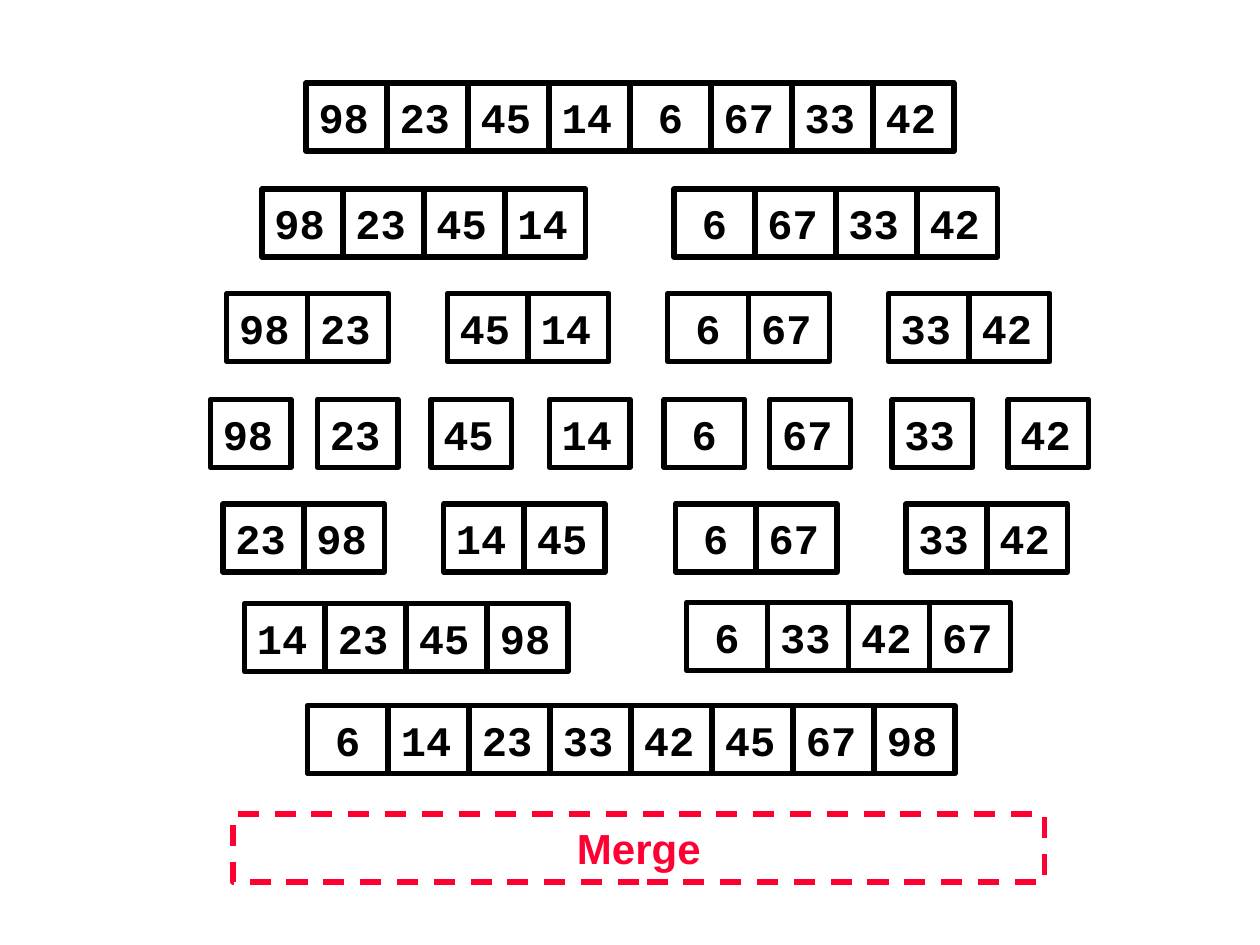
from dataclasses import dataclass

from pptx import Presentation
from pptx.dml.color import RGBColor
from pptx.enum.dml import MSO_LINE
from pptx.enum.shapes import MSO_SHAPE
from pptx.enum.text import MSO_ANCHOR, PP_ALIGN
from pptx.util import Inches, Pt


@dataclass(frozen=True)
class Theme:
    ink: RGBColor = RGBColor(0x00, 0x00, 0x00)
    accent: RGBColor = RGBColor(0xFF, 0x00, 0x33)
    number_font: str = "Courier New"
    label_font: str = "Arial"
    text_size: Pt = Pt(24)
    line_width: Pt = Pt(3)


theme = Theme()
cell_width = 0.64
cell_step = 0.643
box_height = 0.54

presentation = Presentation()
presentation.slide_width = Inches(10)
presentation.slide_height = Inches(7.5)
slide = presentation.slides.add_slide(presentation.slide_layouts[6])


def add_box(left, top, width, text, font_name, color, alignment, wrap):
    shape = slide.shapes.add_shape(
        MSO_SHAPE.RECTANGLE, Inches(left), Inches(top), Inches(width), Inches(box_height)
    )
    shape.shadow.inherit = False
    shape.fill.background()
    shape.line.color.rgb = color
    shape.line.width = theme.line_width
    text_frame = shape.text_frame
    text_frame.text = text
    text_frame.word_wrap = wrap
    text_frame.vertical_anchor = MSO_ANCHOR.MIDDLE
    paragraph = text_frame.paragraphs[0]
    paragraph.alignment = alignment
    font = paragraph.runs[0].font
    font.name = font_name
    font.size = theme.text_size
    font.bold = True
    font.color.rgb = color
    return shape


arrays = [
    (2.43, 0.66, [98, 23, 45, 14, 6, 67, 33, 42]),
    (2.08, 1.5, [98, 23, 45, 14]),
    (5.35, 1.5, [6, 67, 33, 42]),
    (1.8, 2.33, [98, 23]),
    (3.55, 2.33, [45, 14]),
    (5.3, 2.33, [6, 67]),
    (7.05, 2.33, [33, 42]),
    (1.67, 3.17, [98]),
    (2.52, 3.17, [23]),
    (3.42, 3.17, [45]),
    (4.36, 3.17, [14]),
    (5.27, 3.17, [6]),
    (6.11, 3.17, [67]),
    (7.08, 3.17, [33]),
    (8, 3.17, [42]),
    (1.77, 4, [23, 98]),
    (3.52, 4, [14, 45]),
    (5.36, 4, [6, 67]),
    (7.19, 4, [33, 42]),
    (1.94, 4.79, [14, 23, 45, 98]),
    (5.45, 4.78, [6, 33, 42, 67]),
    (2.44, 5.6, [6, 14, 23, 33, 42, 45, 67, 98]),
]

for left, top, numbers in arrays:
    for index, number in enumerate(numbers):
        alignment = PP_ALIGN.CENTER if number < 10 else PP_ALIGN.LEFT
        add_box(
            left + index * cell_step, top, cell_width, str(number),
            theme.number_font, theme.ink, alignment, False,
        )

merge_box = add_box(
    1.85, 6.46, 6.44, "Merge", theme.label_font, theme.accent, PP_ALIGN.CENTER, True
)
merge_box.line.dash_style = MSO_LINE.DASH

presentation.save("out.pptx")
